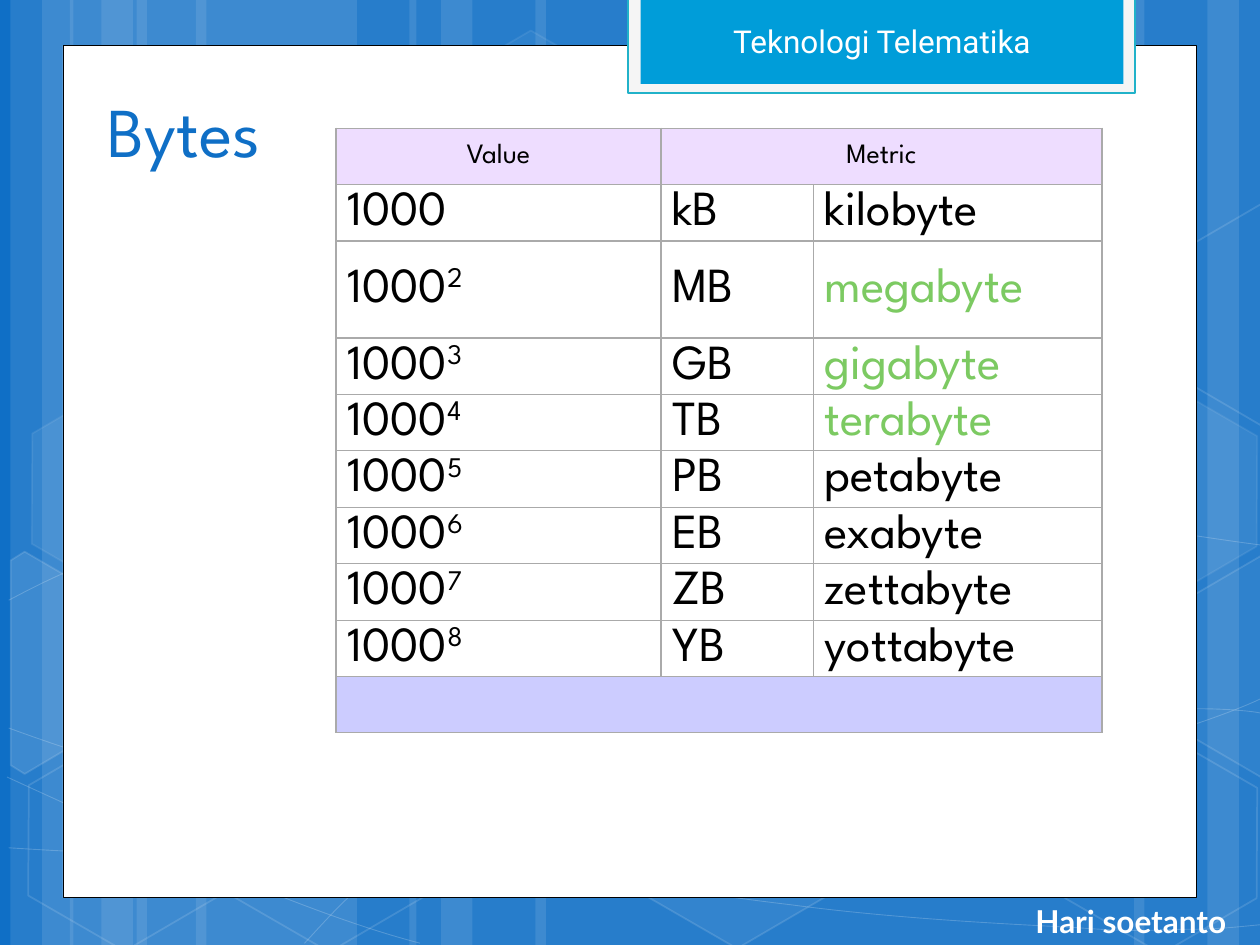
from dataclasses import dataclass
from math import cos, radians, sin
from typing import Optional

from lxml.etree import SubElement
from pptx import Presentation
from pptx.dml.color import RGBColor
from pptx.enum.shapes import MSO_SHAPE as Shp
from pptx.enum.text import MSO_ANCHOR as Anchor, PP_ALIGN as Align
from pptx.oxml.ns import qn
from pptx.util import Pt

WHITE = RGBColor(0xFF, 0xFF, 0xFF)
BLACK = RGBColor(0, 0, 0)
BLUE = RGBColor(0x0F, 0x6F, 0xC6)
SKY = RGBColor(0x00, 0x9D, 0xD9)
TEAL = RGBColor(0x21, 0xB2, 0xC9)
PALE = RGBColor(0xF5, 0xF5, 0xF5)
GREEN = RGBColor(0x7C, 0xCA, 0x62)
LILAC = RGBColor(0xEE, 0xDD, 0xFF)
LAVENDER = RGBColor(0xCC, 0xCC, 0xFF)
GREY = RGBColor(0xAA, 0xAA, 0xAA)


@dataclass
class Look:
    fill: Optional[RGBColor] = None
    fill_alpha: int = 100
    line: Optional[RGBColor] = None
    width: float = 1
    line_alpha: int = 100


@dataclass
class Hexagon:
    x: float
    y: float
    fill_alpha: int
    line_alpha: int


@dataclass
class CutHexagon:
    center: tuple
    corners: list
    fill_alpha: int


@dataclass
class Unit:
    symbol: str
    name: str
    color: RGBColor = BLACK


def paint(fill, holder, color: Optional[RGBColor], alpha: int) -> None:
    if color is None:
        fill.background()
        return
    fill.solid()
    fill.fore_color.rgb = color
    if alpha < 100:
        clr = holder.find(f"{qn('a:solidFill')}/{qn('a:srgbClr')}")
        SubElement(clr, qn("a:alpha"), val=str(alpha * 1000))


def style(sp, look: Look):
    sp.shadow.inherit = False
    spPr = sp._element.spPr
    paint(sp.fill, spPr, look.fill, look.fill_alpha)
    sp.line.width = Pt(look.width)
    paint(sp.line.fill, spPr.find(qn("a:ln")), look.line, look.line_alpha)
    return sp


def add_shape(s, kind, box: tuple, look: Look):
    return style(s.shapes.add_shape(kind, *map(Pt, box)), look)


def add_path(s, points: list, look: Look, close: bool):
    pts = [(Pt(x), Pt(y)) for x, y in points]
    builder = s.shapes.build_freeform(*pts[0], scale=1.0)
    builder.add_line_segments(pts[1:], close=close)
    return style(builder.convert_to_shape(), look)


def add_curve(s, nodes: list, look: Look) -> None:
    """Draw cubic curves: a start, then two handles and an end for each."""
    sp = add_path(s, nodes[::3], look, close=False)
    for i, seg in enumerate(list(sp._element.iter(qn("a:lnTo")))):
        seg.tag = qn("a:cubicBezTo")
        for k, (x, y) in enumerate(nodes[3 * i + 1:3 * i + 3]):
            pt = SubElement(seg, qn("a:pt"), x=str(Pt(x) - sp.left), y=str(Pt(y) - sp.top))
            seg.insert(k, pt)


def add_cut_hexagon(s, cut: CutHexagon) -> None:
    cx, cy = cut.center
    c, n = cos(radians(30)), sin(radians(30))
    upright = [(cx + (x - cx) * c + (y - cy) * n, cy + (y - cy) * c - (x - cx) * n)
               for x, y in cut.corners]
    add_path(s, upright, glass(cut.fill_alpha, 12), close=True).rotation = 30


def write(tf, text: str, color: RGBColor, power: str = "", align=Align.LEFT,
          spacing: Optional[float] = None, **fmt) -> None:
    p = tf.paragraphs[0]
    p.alignment, p.line_spacing = align, spacing
    for part in filter(None, (text, power)):
        r = p.add_run()
        r.text = part
        r.font.color.rgb = color
        for key, value in fmt.items():
            setattr(r.font, key, value)
    if power:
        r._r.get_or_add_rPr().set("baseline", "30000")


def add_label(s, box: tuple, anchor, text: str, color: RGBColor, **fmt) -> None:
    tf = s.shapes.add_textbox(*map(Pt, box)).text_frame
    tf.word_wrap = True
    tf.vertical_anchor = anchor
    write(tf, text, color, **fmt)


def format_cell(cell, fill: Optional[RGBColor]) -> None:
    for key, value in {"margin_left": Pt(6.5), "margin_right": Pt(6.5), "margin_top": 0,
                       "margin_bottom": 0, "vertical_anchor": Anchor.MIDDLE}.items():
        setattr(cell, key, value)
    tcPr = cell._tc.get_or_add_tcPr()
    for side in ("lnL", "lnR", "lnT", "lnB"):
        ln = SubElement(tcPr, qn(f"a:{side}"), w=str(Pt(0.75)))
        SubElement(SubElement(ln, qn("a:solidFill")), qn("a:srgbClr"), val=str(GREY))
    paint(cell.fill, tcPr, fill, 100)


# Decoration: (left, width) of stripes, hexagons, cut hexagons and curves
STRIPES = [(78, 126), (6, 36), (24, 60), (112, 126), (40, 36), (58, 60),
           (528, 126), (690, 36), (648, 60), (306, 222), (234, 36), (252, 60)]
HEXAGONS = [Hexagon(240.5, 26, 4, 8), Hexagon(358, 424, 6, 12), Hexagon(8, 425.5, 0, 12),
            Hexagon(10, 224.5, 7, 8), Hexagon(125, 426, 0, 12), Hexagon(542, 326, 10, 12),
            Hexagon(600.5, 427, 0, 12), Hexagon(600.5, 226, 7, 8)]
RIGHT = [(667, 349), (721, 317.5), (726.5, 321), (726.5, 441), (721, 444), (667, 412.5)]
CUT_HEXAGONS = [
    CutHexagon((26, 385), [(6, 320), (14, 315), (69, 347), (68, 410), (14, 442), (6, 437)], 10),
    CutHexagon((709, 374.5), RIGHT, 4),
    CutHexagon((709, 173.5), [(x, y - 201) for x, y in RIGHT], 0),
]
CURVES = [
    [(5, 484.5), (44, 487), (83, 489), (137, 488), (191, 487.5), (258, 486), (330, 479),
     (402, 471.5), (504, 458), (570, 444), (636, 430.5), (703, 409), (725, 397)],
    [(5, 343), (26, 332), (47, 321), (87, 310), (128, 300), (186, 285), (250, 279),
     (314, 273), (392, 273), (471, 279), (550, 284), (682, 307), (725, 312)],
    [(4, 444), (91, 484), (178, 523), (240, 539)],
    [(5, 416), (27, 424), (50, 432), (92, 444), (134, 454), (197, 472), (257, 485),
     (317, 497), (392, 510), (452, 517), (512, 525), (576, 528), (614, 530),
     (652, 533), (662, 531), (680, 531), (699, 531), (712, 529), (725, 528)],
    [(174, 539), (187, 525), (200, 510), (217, 498), (235, 485), (259, 470), (279, 460),
     (300, 450), (312, 446), (338, 438), (364, 431), (413, 421), (438, 416),
     (464, 411), (467, 411), (490, 410), (512, 407), (547, 405), (572, 405),
     (597, 404), (638, 405), (638, 405), (638, 405), (686, 405), (686, 405),
     (699, 405), (711, 406), (718, 407), (722, 408), (724, 407), (724, 408)],
]
UNITS = [Unit("kB", "kilobyte"), Unit("MB", "megabyte", GREEN), Unit("GB", "gigabyte", GREEN),
         Unit("TB", "terabyte", GREEN), Unit("PB", "petabyte"), Unit("EB", "exabyte"),
         Unit("ZB", "zettabyte"), Unit("YB", "yottabyte")]
COLUMNS = (185.75, 87, 165)
ROW, TALL_ROW = 32.25, 55.5


def glass(alpha: int, line_alpha: int) -> Look:
    return Look(WHITE if alpha else None, alpha, WHITE, 1, line_alpha)


def add_background(s) -> None:
    s.background.fill.solid()
    s.background.fill.fore_color.rgb = BLUE
    for x, w in STRIPES:
        add_shape(s, Shp.RECTANGLE, (x, 0, w, 540), Look(WHITE, 10))
    for nodes in CURVES:
        add_curve(s, nodes, Look(line=WHITE, width=0.5, line_alpha=20))
    for h in HEXAGONS:
        sp = add_shape(s, Shp.HEXAGON, (h.x, h.y, 126, 109.5), glass(h.fill_alpha, h.line_alpha))
        sp.adjustments[0] = 0.285
        sp.rotation = 30
    for cut in CUT_HEXAGONS:
        add_cut_hexagon(s, cut)


def add_units_table(s) -> None:
    last = len(UNITS) + 1
    heights = [TALL_ROW if i == 2 else ROW for i in range(last + 1)]
    box = (192, 73.25, sum(COLUMNS), sum(heights))
    tbl = s.shapes.add_table(last + 1, len(COLUMNS), *map(Pt, box)).table
    tbl.first_row = tbl.horz_banding = False
    for col, width in zip(tbl.columns, COLUMNS):
        col.width = Pt(width)
    for i, height in enumerate(heights):
        tbl.rows[i].height = Pt(height)
        for cell in tbl.rows[i].cells:
            format_cell(cell, {0: LILAC, last: LAVENDER}.get(i))
    tbl.cell(0, 1).merge(tbl.cell(0, 2))
    tbl.cell(last, 0).merge(tbl.cell(last, 2))
    for j, head in enumerate(("Value", "Metric")):
        write(tbl.cell(0, j).text_frame, head, BLACK, align=Align.CENTER,
              size=Pt(16), name="League Spartan")
    for i, unit in enumerate(UNITS, 1):
        row = (("1000", BLACK, str(i) if i > 1 else ""), (unit.symbol, BLACK),
               (unit.name, unit.color))
        for j, content in enumerate(row):
            write(tbl.cell(i, j).text_frame, *content, spacing=0.95,
                  size=Pt(28), name="League Spartan")


def main() -> None:
    prs = Presentation()
    prs.slide_width, prs.slide_height = Pt(720), Pt(540)
    s = prs.slides.add_slide(prs.slide_layouts[6])
    add_background(s)

    # Page and course tab
    add_shape(s, Shp.RECTANGLE, (36, 26, 648, 487), Look(WHITE, line=BLACK, width=0.5))
    add_shape(s, Shp.RECTANGLE, (359, -1.5, 289.5, 54.5), Look(PALE, line=TEAL, width=1.25))
    tab = add_shape(s, Shp.RECTANGLE, (366, -1.5, 276, 49.5), Look(SKY))
    tab.text_frame.vertical_anchor = Anchor.MIDDLE
    write(tab.text_frame, "Teknologi Telematika", WHITE, align=Align.CENTER,
          size=Pt(18), name="Roboto")

    # Title, table and author
    add_label(s, (54.25, 42.25, 612, 59.5), Anchor.BOTTOM, "Bytes", BLUE,
              size=Pt(40), name="League Spartan")
    add_units_table(s)
    add_label(s, (431.75, 512, 276, 29), Anchor.MIDDLE, "Hari soetanto", WHITE,
              align=Align.RIGHT, size=Pt(18), name="Lato", bold=True)
    prs.save("out.pptx")


if __name__ == "__main__":
    main()
